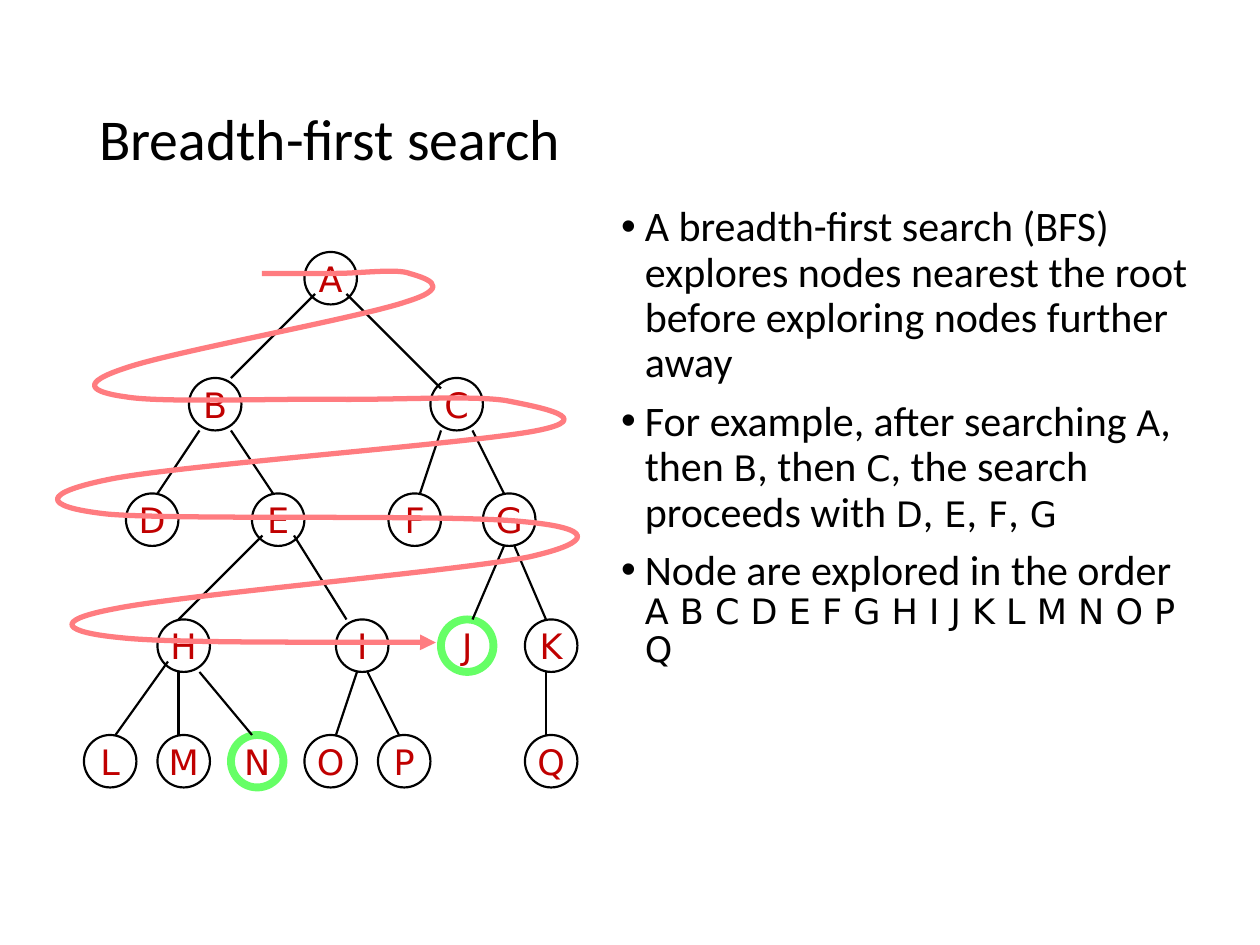
"""Build the breadth-first search slide with its tree, search route and explanation."""
from typing import Any, NamedTuple

import lxml.etree
import pptx
import pptx.dml.color
import pptx.enum.shapes
import pptx.enum.text
import pptx.oxml.ns
import pptx.shapes.group
import pptx.slide
import pptx.util

BLACK = pptx.dml.color.RGBColor(0x00, 0x00, 0x00)
RED = pptx.dml.color.RGBColor(0xC0, 0x00, 0x00)
GREEN = pptx.dml.color.RGBColor(0x66, 0xFF, 0x66)
PINK = pptx.dml.color.RGBColor(0xFF, 0x7C, 0x80)
GRID = pptx.util.Cm(2.54) // 12
ROUTE_SCALE = pptx.util.Cm(2.54) / 100
NODE_SIZE = 5
PROSE = {"name": "Calibri", "size": pptx.util.Pt(24)}
LETTER = {"name": "DejaVu Sans", "size": pptx.util.Pt(20)}
TITLE = {"name": "Calibri", "size": pptx.util.Pt(33)}
BULLET = {"line_spacing": 0.9, "space_before": pptx.util.Pt(7.5)}
ANCHOR = pptx.enum.text.MSO_ANCHOR


class Node(NamedTuple):
    letter: str
    column: int
    row: int
    goal: bool = False


class Edge(NamedTuple):
    start_x: int
    start_y: int
    end_x: int
    end_y: int


NODES = [
    Node("A", 29, 24), Node("B", 18, 36), Node("C", 41, 36),
    Node("D", 12, 47), Node("E", 24, 47), Node("F", 37, 47), Node("G", 46, 47),
    Node("H", 15, 59), Node("I", 32, 59), Node("J", 42, 59, True), Node("K", 50, 59),
    Node("L", 8, 70), Node("M", 15, 70), Node("N", 22, 70, True),
    Node("O", 29, 70), Node("P", 36, 70), Node("Q", 50, 70),
]
EDGES = [
    Edge(22, 36, 30, 28), Edge(33, 28, 42, 37),
    Edge(19, 41, 15, 47), Edge(22, 41, 26, 47), Edge(42, 41, 40, 47), Edge(45, 41, 48, 47),
    Edge(17, 59, 25, 51), Edge(33, 59, 28, 51), Edge(45, 59, 48, 52), Edge(52, 59, 49, 52),
    Edge(11, 70, 16, 63), Edge(17, 70, 17, 64), Edge(24, 70, 19, 64),
    Edge(32, 70, 34, 64), Edge(38, 70, 35, 64), Edge(52, 70, 52, 64),
]
ROUTE = [
    (208, 217), (218, 217), (247, 217), (267, 217), (286, 217), (315, 213), (325, 217),
    (335, 220), (362, 227), (324, 239), (287, 252), (137, 279), (100, 292),
    (63, 304), (71, 311), (100, 315), (129, 320), (225, 316), (275, 317),
    (325, 317), (377, 314), (402, 318), (427, 323), (477, 332), (425, 342),
    (373, 352), (146, 369), (89, 380), (33, 391), (31, 402), (85, 408),
    (139, 413), (359, 408), (415, 414), (471, 419), (473, 430), (420, 442),
    (366, 453), (146, 472), (92, 483), (38, 493), (53, 502), (95, 506),
    (138, 511), (294, 509), (346, 510),
]
EXPLANATION = [
    ["A breadth-first search (BFS) explores nodes nearest the root before exploring nodes further away"],
    ["For example, after searching ", "A", ", then ", "B", ", then ", "C",
     ", the search proceeds with ", "D", ",", " E", ",", " F", ",", " G"],
    ["Node are explored in the order ", " ".join(node.letter for node in NODES)],
]


def set_values(target: Any, values: dict[str, Any]) -> None:
    for name, value in values.items():
        setattr(target, name, value)


def add_run(paragraph: Any, text: str, style: dict[str, Any],
            color: pptx.dml.color.RGBColor = BLACK) -> None:
    run = paragraph.add_run()
    run.text = text
    set_values(run.font, style)
    run.font.color.rgb = color


def set_line(shape: Any, color: pptx.dml.color.RGBColor, width: float) -> None:
    shape.line.color.rgb = color
    shape.line.width = pptx.util.Pt(width)


def add_child(parent: Any, tag: str, **attributes: str) -> Any:
    return lxml.etree.SubElement(parent, pptx.oxml.ns.qn(tag), attributes)


def draw_node(tree: pptx.shapes.group.GroupShape, node: Node) -> None:
    shape = tree.shapes.add_shape(
        pptx.enum.shapes.MSO_SHAPE.OVAL, node.column * GRID, node.row * GRID,
        NODE_SIZE * GRID, NODE_SIZE * GRID)
    shape.shadow.inherit = False
    shape.fill.background()
    set_line(shape, *((GREEN, 4.5) if node.goal else (BLACK, 1.25)))
    set_values(shape.text_frame, {"word_wrap": False, "vertical_anchor": ANCHOR.MIDDLE})
    paragraph = shape.text_frame.paragraphs[0]
    paragraph.alignment = pptx.enum.text.PP_ALIGN.CENTER
    add_run(paragraph, node.letter, LETTER, RED)


def draw_edge(tree: pptx.shapes.group.GroupShape, edge: Edge) -> None:
    connector = tree.shapes.add_connector(
        pptx.enum.shapes.MSO_CONNECTOR.STRAIGHT, *(value * GRID for value in edge))
    set_line(connector, BLACK, 1.25)
    add_child(connector._element.spPr, "a:effectLst")


def draw_route(slide: pptx.slide.Slide) -> None:
    builder = slide.shapes.build_freeform(*ROUTE[0], scale=ROUTE_SCALE)
    builder.add_line_segments(ROUTE[1:], close=False)
    shape = builder.convert_to_shape()
    shape.shadow.inherit = False
    shape.fill.background()
    set_line(shape, PINK, 3)
    add_child(shape.line._get_or_add_ln(), "a:tailEnd", type="triangle")
    segments = list(shape._element.iter(pptx.oxml.ns.qn("a:lnTo")))
    outline = segments[0].getparent()
    for first in range(0, len(segments), 3):
        curve = add_child(outline, "a:cubicBezTo")
        for segment in segments[first:first + 3]:
            curve.append(segment[0])
            outline.remove(segment)


def add_text_frame(slide: pptx.slide.Slide, left: float, top: float, width: float,
                   height: float, anchor: ANCHOR) -> Any:
    box = slide.shapes.add_textbox(*map(pptx.util.Cm, (left, top, width, height)))
    set_values(box.text_frame, {"word_wrap": True, "vertical_anchor": anchor})
    return box.text_frame


def draw_title(slide: pptx.slide.Slide) -> None:
    paragraph = add_text_frame(slide, 1.75, 1.02, 21.92, 3.68, ANCHOR.MIDDLE).paragraphs[0]
    paragraph.line_spacing = 0.9
    add_run(paragraph, "Breadth-first search", TITLE)


def draw_explanation(slide: pptx.slide.Slide) -> None:
    frame = add_text_frame(slide, 12.27, 4.02, 12.07, 13.97, ANCHOR.TOP)
    indent = pptx.util.Cm(0.48)
    for index, texts in enumerate(EXPLANATION):
        paragraph = frame.add_paragraph() if index else frame.paragraphs[0]
        set_values(paragraph, BULLET)
        properties = paragraph._p.get_or_add_pPr()
        properties.set("marL", str(indent))
        properties.set("indent", str(-indent))
        add_child(properties, "a:buFont", typeface="Arial")
        add_child(properties, "a:buChar", char="•")
        for position, text in enumerate(texts):
            add_run(paragraph, text, LETTER if position % 2 else PROSE)


def main() -> None:
    presentation = pptx.Presentation()
    set_values(presentation, {"slide_width": pptx.util.Cm(25.4),
                              "slide_height": pptx.util.Cm(19.05)})
    slide = presentation.slides.add_slide(presentation.slide_layouts[6])
    draw_title(slide)
    draw_explanation(slide)
    tree = slide.shapes.add_group_shape()
    for node in NODES:
        draw_node(tree, node)
    for edge in EDGES:
        draw_edge(tree, edge)
    draw_route(slide)
    presentation.save("out.pptx")


if __name__ == "__main__":
    main()
